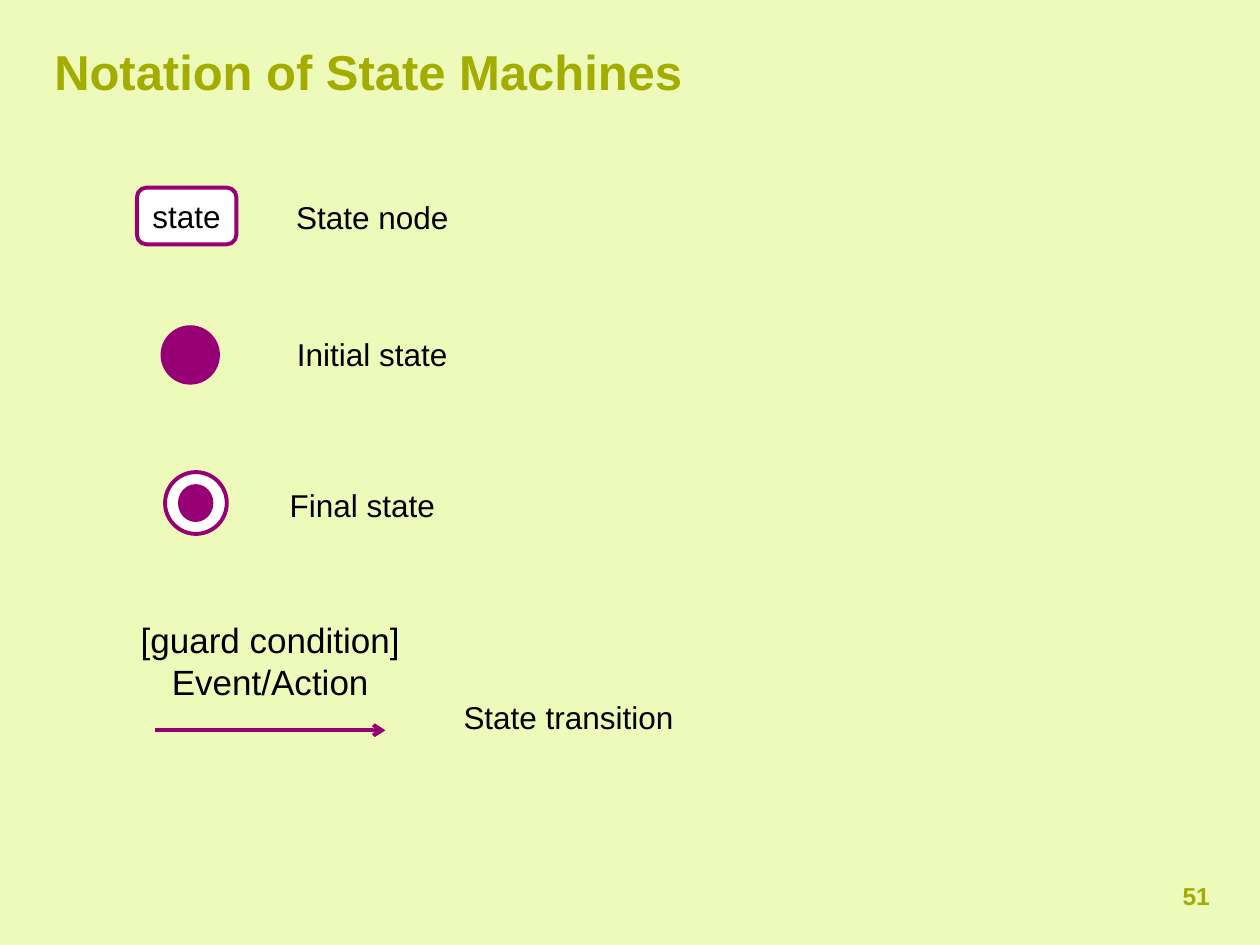
from dataclasses import dataclass

from lxml.etree import SubElement
from pptx import Presentation
from pptx.dml.color import RGBColor
from pptx.enum.shapes import MSO_CONNECTOR, MSO_SHAPE
from pptx.enum.text import MSO_ANCHOR, MSO_AUTO_SIZE, PP_ALIGN
from pptx.oxml.ns import qn
from pptx.util import Pt


@dataclass(frozen=True)
class Theme:
    background: RGBColor = RGBColor(0xEE, 0xFA, 0xB9)
    heading: RGBColor = RGBColor(0xA2, 0xAD, 0x00)
    accent: RGBColor = RGBColor(0x97, 0x00, 0x74)
    paper: RGBColor = RGBColor(0xFF, 0xFF, 0xFF)
    text: RGBColor = RGBColor(0x00, 0x00, 0x00)
    font: str = "Arial"
    title_size: float = 28
    guard_size: float = 20
    label_size: float = 18
    number_size: float = 14
    line_width: float = 2.25


def apply(target, values):
    for name, value in values.items():
        setattr(target, name, value)


class NotationSlide:
    """Holds the theme and the slide being drawn; all lengths are in points."""

    def __init__(self, presentation, theme):
        self.theme = theme
        title_only = presentation.slide_layouts[5]
        self.slide = presentation.slides.add_slide(title_only)
        fill = self.slide.background.fill
        fill.solid()
        fill.fore_color.rgb = theme.background

    def set_text(self, shape, text, size, color=None, bold=False,
                 align=PP_ALIGN.CENTER, **frame_format):
        frame = shape.text_frame
        apply(frame, {"word_wrap": True, "auto_size": MSO_AUTO_SIZE.NONE,
                      **frame_format})
        paragraph = frame.paragraphs[0]
        paragraph.text = text
        paragraph.alignment = align
        apply(paragraph.font, {"name": self.theme.font, "size": Pt(size),
                               "bold": bold})
        paragraph.font.color.rgb = color or self.theme.text

    def title(self, text, left, top, width, height):
        shape = self.slide.shapes.title
        apply(shape, {"left": Pt(left), "top": Pt(top),
                      "width": Pt(width), "height": Pt(height)})
        self.set_text(shape, text, self.theme.title_size, self.theme.heading,
                      bold=True, align=PP_ALIGN.LEFT, margin_left=0,
                      vertical_anchor=MSO_ANCHOR.MIDDLE)

    def label(self, text, left, top, width, height, size=None, **text_format):
        box = self.slide.shapes.add_textbox(Pt(left), Pt(top), Pt(width), Pt(height))
        self.set_text(box, text, size or self.theme.label_size, **text_format)
        return box

    def node(self, kind, left, top, width, height, fill):
        shape = self.slide.shapes.add_shape(kind, Pt(left), Pt(top), Pt(width), Pt(height))
        shape.shadow.inherit = False
        shape.fill.solid()
        shape.fill.fore_color.rgb = fill
        self.outline(shape.line)
        return shape

    def arrow(self, left, right, y):
        connector = self.slide.shapes.add_connector(
            MSO_CONNECTOR.STRAIGHT, Pt(left), Pt(y), Pt(right), Pt(y))
        self.outline(connector.line)
        properties = connector._element.spPr
        SubElement(properties.find(qn("a:ln")), qn("a:tailEnd"), type="arrow")
        SubElement(properties, qn("a:effectLst"))
        return connector

    def outline(self, line):
        line.width = Pt(self.theme.line_width)
        line.color.rgb = self.theme.accent

    def group(self, *shapes):
        self.slide.shapes.add_group_shape(shapes)


def main():
    presentation = Presentation()
    apply(presentation, {"slide_width": Pt(720), "slide_height": Pt(540)})
    theme = Theme()
    page = NotationSlide(presentation, theme)

    # Title and slide number
    page.title("Notation of State Machines", 31, 15.1, 666, 51.1)
    page.label("51", 663.1, 499.7, 41, 28, size=theme.number_size,
               color=theme.heading, bold=True)

    # State node
    state = page.node(MSO_SHAPE.ROUNDED_RECTANGLE, 78.3, 107.2, 56.8, 32.4, theme.paper)
    page.set_text(state, "state", theme.label_size, word_wrap=False,
                  vertical_anchor=MSO_ANCHOR.MIDDLE)
    page.label("State node", 154.8, 109.6, 115.9, 28.8)

    # Initial state
    page.node(MSO_SHAPE.OVAL, 92.9, 187, 31.7, 31.7, theme.accent)
    page.label("Initial state", 146.1, 188, 133.2, 28.8)

    # Final state
    page.group(
        page.node(MSO_SHAPE.OVAL, 94.3, 269.8, 35.3, 35.3, theme.paper),
        page.node(MSO_SHAPE.OVAL, 102.8, 277.8, 18, 19.4, theme.accent))
    page.label("Final state", 140.4, 274.4, 133.2, 28.8)

    # State transition
    page.group(
        page.arrow(88.6, 220.3, 417.3),
        page.label("[guard condition] Event/Action", 64.1, 349.9, 180.7, 55.4,
                   size=theme.guard_size))
    page.label("State transition", 257.8, 395.3, 168.5, 28.8, align=PP_ALIGN.LEFT)

    presentation.save("out.pptx")


if __name__ == "__main__":
    main()
